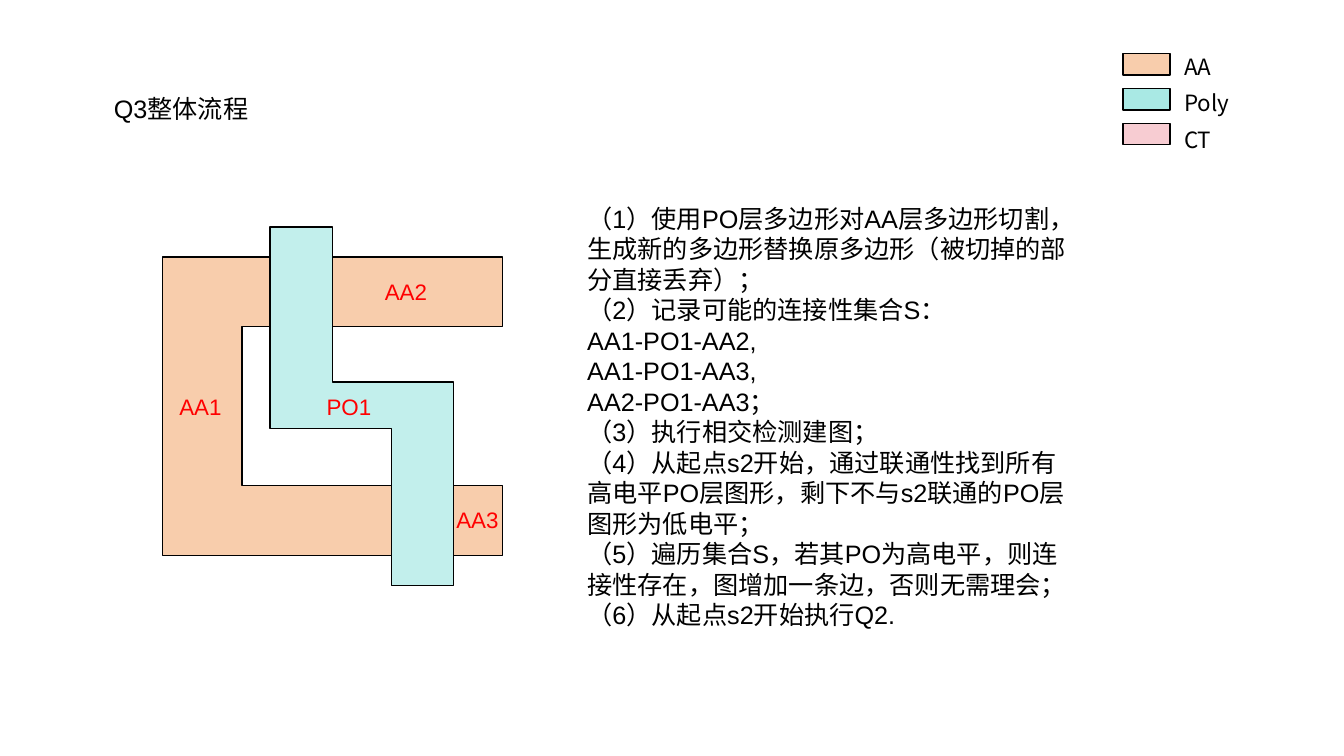
from dataclasses import dataclass

from lxml import etree
from pptx import Presentation
from pptx.dml.color import RGBColor
from pptx.enum.shapes import MSO_SHAPE
from pptx.enum.text import MSO_ANCHOR, MSO_AUTO_SIZE, PP_ALIGN
from pptx.oxml.ns import qn
from pptx.util import Cm, Pt

RECT = MSO_SHAPE.RECTANGLE
TOP, LEFT, FIXED = MSO_ANCHOR.TOP, PP_ALIGN.LEFT, MSO_AUTO_SIZE.NONE


@dataclass(frozen=True)
class Theme:
    ink: str = "000000"
    mark: str = "FF0000"
    active: str = "F8CDAC"
    poly: str = "A9E9E4"
    contact: str = "F5B7BF"
    latin: str = "Arial"
    cjk: str = "Noto Sans CJK SC"
    body: int = 18
    label: int = 16
    body_lead: float = 21.8
    key_lead: float = 20.8


theme = Theme()


def write(box, text, size=theme.label, color=theme.ink, font=theme.latin,
          lead=None, wrap=True):
    frame = box.text_frame
    frame.word_wrap = wrap
    frame.auto_size = FIXED
    frame.vertical_anchor = TOP
    frame.margin_left = frame.margin_right = Cm(0.25)
    frame.margin_top = frame.margin_bottom = Cm(0.13)
    frame.text = text
    for para in frame.paragraphs:
        para.alignment = LEFT
        if lead:
            para.line_spacing = Pt(lead)
        for run in para.runs:
            run.font.size = Pt(size)
            run.font.name = font
            run.font.color.rgb = RGBColor.from_string(color)
            east = etree.SubElement(run.font._element, qn("a:ea"))
            east.set("typeface", theme.cjk)


def paint(shape, color, alpha=100):
    """Fill a layer shape, with opacity in percent, and outline it."""
    shape.shadow.inherit = False
    shape.fill.solid()
    shape.fill.fore_color.rgb = RGBColor.from_string(color)
    shape.line.color.rgb = RGBColor.from_string(theme.ink)
    shape.line.width = Pt(1)
    if alpha < 100:
        tone = shape.fill._xPr.find(qn("a:solidFill"))[0]
        etree.SubElement(tone, qn("a:alpha")).set("val", str(alpha * 1000))


deck = Presentation()
deck.slide_width, deck.slide_height = Cm(33.87), Cm(19.05)
slide = deck.slides.add_slide(deck.slide_layouts[5])
shapes = slide.shapes

title = shapes.title
title.left, title.top, title.width, title.height = Cm(2.62), Cm(2.21), Cm(5.36), Cm(1.02)
write(title, "Q3整体流程", size=theme.body, lead=theme.body_lead)

# Legend
legend = [("AA", theme.active, 100), ("Poly", theme.poly, 100), ("CT", theme.contact, 70)]
for row, (name, color, alpha) in enumerate(legend):
    swatch = shapes.add_shape(RECT, Cm(28.3), Cm(1.35 + 0.88 * row), Cm(1.19), Cm(0.54))
    paint(swatch, color, alpha)
    key = shapes.add_textbox(Cm(29.59), Cm(1.14 + 0.92 * row), Cm(2.39), Cm(0.94))
    write(key, name, font=theme.cjk, lead=theme.key_lead)

# Steps
steps = [
    "（1）使用PO层多边形对AA层多边形切割，生成新的多边形替换原多边形（被切掉的部分直接丢弃）；",
    "（2）记录可能的连接性集合S：",
    "AA1-PO1-AA2,",
    "AA1-PO1-AA3,",
    "AA2-PO1-AA3；",
    "（3）执行相交检测建图；",
    "（4）从起点s2开始，通过联通性找到所有高电平PO层图形，剩下不与s2联通的PO层图形为低电平；",
    "（5）遍历集合S，若其PO为高电平，则连接性存在，图增加一条边，否则无需理会；",
    "（6）从起点s2开始执行Q2.",
]
flow = shapes.add_textbox(Cm(14.55), Cm(4.98), Cm(12.83), Cm(11.02))
write(flow, "\n".join(steps), size=theme.body, lead=theme.body_lead)

# Layout polygons, in cm
aa1 = [(4.09, 6.48), (6.81, 6.48), (6.81, 8.23), (6.1, 8.23),
       (6.1, 12.24), (9.86, 12.24), (9.86, 14), (4.09, 14)]
aa2 = [(8.38, 6.48), (12.67, 6.48), (12.67, 8.23), (8.38, 8.23)]
aa3 = [(11.43, 12.24), (12.67, 12.24), (12.67, 14), (11.43, 14)]
po1 = [(6.81, 5.72), (8.38, 5.72), (8.38, 9.63), (11.43, 9.63),
       (11.43, 14.76), (9.86, 14.76), (9.86, 10.8), (6.81, 10.8)]
for parts, color, alpha in [([aa1, aa2, aa3], theme.active, 100), ([po1], theme.poly, 70)]:
    pen = None
    for part in parts:
        start, *rest = [(Cm(x), Cm(y)) for x, y in part]
        if pen is None:
            pen = shapes.build_freeform(*start)
        else:
            pen.move_to(*start)
        pen.add_line_segments(rest, close=True)
    paint(pen.convert_to_shape(), color, alpha)

tags = [("AA1", 4.27, 9.78), ("AA2", 9.45, 6.88), ("AA3", 11.25, 12.62), ("PO1", 7.98, 9.78)]
for name, x, y in tags:
    tag = shapes.add_textbox(Cm(x), Cm(y), Cm(1.8), Cm(0.94))
    write(tag, name, color=theme.mark, wrap=False)

deck.save("out.pptx")
